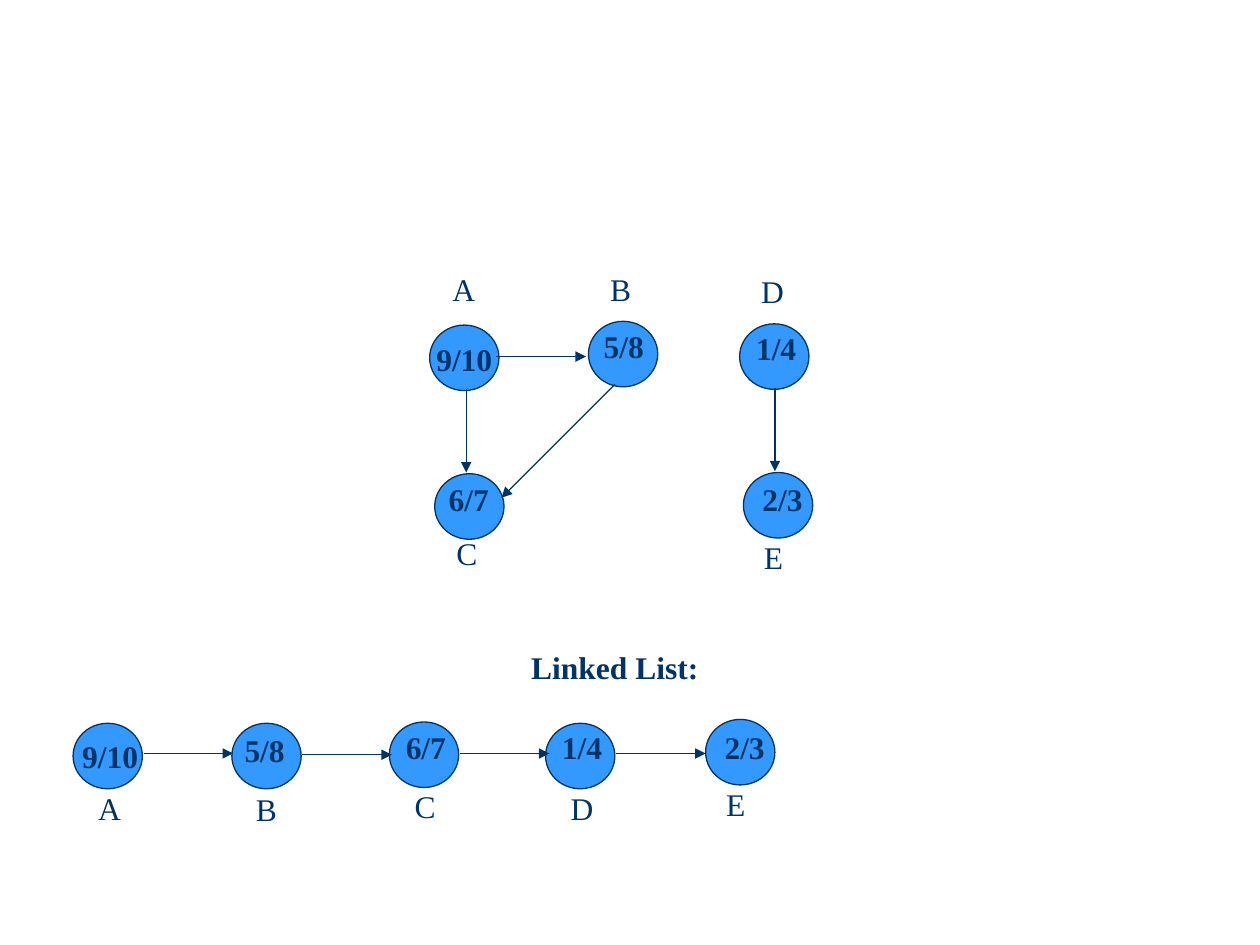
from dataclasses import dataclass

from lxml import etree
from pptx import Presentation
from pptx import util as u
from pptx.dml.color import RGBColor
from pptx.enum import shapes, text
from pptx.oxml.ns import qn


@dataclass(frozen=True)
class Theme:
    ink: RGBColor = RGBColor(0x00, 0x33, 0x66)
    node_fill: RGBColor = RGBColor(0x33, 0x99, 0xFF)
    font: str = "Times New Roman"
    text_size: int = 18
    line_width: float = 0.75
    node_size: tuple = (0.55, 0.52)
    text_height: float = 0.4


class SlideBuilder:
    def __init__(self, slide, theme):
        self.slide = slide
        self.theme = theme

    def node(self, left, top):
        width, height = self.theme.node_size
        shape = self.slide.shapes.add_shape(
            shapes.MSO_SHAPE.OVAL, u.Inches(left), u.Inches(top),
            u.Inches(width), u.Inches(height))
        shape.shadow.inherit = False
        shape.fill.solid()
        shape.fill.fore_color.rgb = self.theme.node_fill
        shape.line.color.rgb = self.theme.ink
        shape.line.width = u.Pt(self.theme.line_width)

    def text(self, content, left, top, width, bold=False):
        box = self.slide.shapes.add_textbox(
            u.Inches(left), u.Inches(top),
            u.Inches(width), u.Inches(self.theme.text_height))
        frame = box.text_frame
        frame.word_wrap = False
        frame.auto_size = text.MSO_AUTO_SIZE.SHAPE_TO_FIT_TEXT
        paragraph = frame.paragraphs[0]
        paragraph.alignment = text.PP_ALIGN.CENTER
        run = paragraph.add_run()
        run.text = content
        run.font.name = self.theme.font
        run.font.size = u.Pt(self.theme.text_size)
        run.font.bold = bold
        run.font.color.rgb = self.theme.ink

    def arrow(self, start, end):
        connector = self.slide.shapes.add_connector(
            shapes.MSO_CONNECTOR.STRAIGHT,
            *(u.Inches(value) for value in (*start, *end)))
        connector.line.color.rgb = self.theme.ink
        connector.line.width = u.Pt(self.theme.line_width)
        line = connector.line._get_or_add_ln()
        etree.SubElement(line, qn("a:tailEnd"), type="triangle")
        etree.SubElement(connector._element.spPr, qn("a:effectLst"))


# Discovery/finish times and label widths of each vertex
TIMES = {"A": "9/10", "B": "5/8", "C": "6/7", "D": "1/4", "E": "2/3"}
LABEL_WIDTHS = {"A": 0.38, "B": 0.37, "C": 0.37, "D": 0.38, "E": 0.36}
TIME_WIDTHS = {3: 0.52, 4: 0.65}  # by number of characters

# Vertex name, then left and top of its node, time and label
GRAPH = [
    ("A", (3.41, 2.58), (3.36, 2.65), (3.49, 2.09)),
    ("B", (4.67, 2.55), (4.69, 2.55), (4.74, 2.09)),
    ("C", (3.45, 3.76), (3.46, 3.76), (3.52, 4.19)),
    ("D", (5.87, 2.57), (5.90, 2.56), (5.94, 2.11)),
    ("E", (5.90, 3.75), (5.95, 3.76), (5.96, 4.22)),
]
LINKED_LIST = [
    ("A", (0.58, 5.74), (0.55, 5.80), (0.68, 6.21)),
    ("B", (1.84, 5.74), (1.84, 5.75), (1.93, 6.22)),
    ("C", (3.09, 5.73), (3.12, 5.73), (3.19, 6.20)),
    ("D", (4.33, 5.74), (4.36, 5.73), (4.43, 6.21)),
    ("E", (5.60, 5.71), (5.65, 5.73), (5.66, 6.18)),
]
GRAPH_EDGES = [
    ((3.94, 2.83), (4.65, 2.83)),  # A to B
    ((3.70, 3.09), (3.70, 3.75)),  # A to C
    ((4.88, 3.05), (3.98, 3.95)),  # B to C
    ((6.15, 3.08), (6.15, 3.74)),  # D to E
]
LINK_STARTS = [(1.14, 5.98), (2.40, 5.99), (3.65, 5.98), (4.89, 5.98)]
LINK_LENGTH = 0.71


def main():
    presentation = Presentation()
    presentation.slide_width = u.Inches(10)
    presentation.slide_height = u.Inches(7.5)
    slide = presentation.slides.add_slide(presentation.slide_layouts[6])
    builder = SlideBuilder(slide, Theme())

    # Vertices of the graph and of the linked list
    for name, node_at, time_at, label_at in GRAPH + LINKED_LIST:
        time = TIMES[name]
        builder.node(*node_at)
        builder.text(time, *time_at, TIME_WIDTHS[len(time)], bold=True)
        builder.text(name, *label_at, LABEL_WIDTHS[name])

    # Graph edges
    for start, end in GRAPH_EDGES:
        builder.arrow(start, end)

    # Heading and links of the list
    builder.text("Linked List:", 4.11, 5.09, 1.54, bold=True)
    for left, top in LINK_STARTS:
        builder.arrow((left, top), (left + LINK_LENGTH, top))

    presentation.save("out.pptx")


if __name__ == "__main__":
    main()
